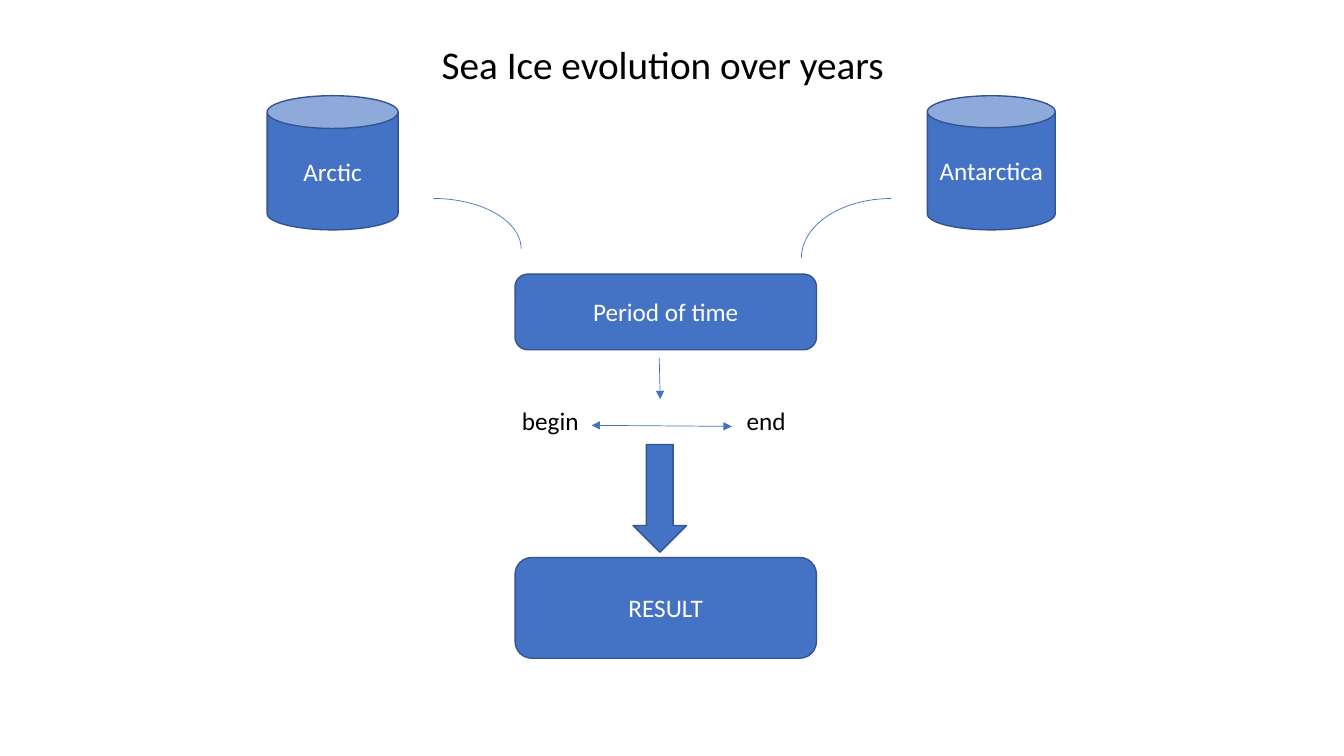
from dataclasses import dataclass

from lxml import etree
from pptx import Presentation
from pptx import util as u
from pptx.dml.color import RGBColor
from pptx.enum import shapes, text
from pptx.oxml import ns
from pptx.shapes.base import BaseShape
from pptx.slide import Slide
from pptx.text.text import TextFrame

BLUE = RGBColor(0x44, 0x72, 0xC4)
EDGE = RGBColor(0x32, 0x54, 0x91)
BLACK = RGBColor(0, 0, 0)
WHITE = RGBColor(0xFF, 0xFF, 0xFF)
FONT = "Calibri"
KIND = shapes.MSO_SHAPE


@dataclass
class Area:
    left: float
    top: float
    width: float
    height: float

    def points(self) -> list[int]:
        return [u.Pt(n) for n in (self.left, self.top, self.width, self.height)]


@dataclass
class Label:
    words: str
    area: Area
    size: int = 18


@dataclass
class Block:
    kind: KIND
    area: Area
    words: str = ""


@dataclass
class Curve:
    area: Area
    start: int
    stop: int


@dataclass
class Arrow:
    start: tuple[float, float]
    stop: tuple[float, float]
    ends: tuple[str, ...]


LABELS = [
    Label("begin", Area(285.1, 285.8, 216, 28.8)),
    Label("end", Area(439.2, 285.8, 216, 28.8)),
    Label("Sea Ice evolution over years", Area(303.8, 25.2, 339.1, 41), 28),
]
BLOCKS = [
    Block(KIND.CAN, Area(190.8, 68.4, 93.6, 95.8), "Arctic"),
    Block(KIND.CAN, Area(662.4, 68.4, 91.4, 95.8), "Antarctica"),
    Block(KIND.ROUNDED_RECTANGLE, Area(367.9, 195.8, 215.3, 54), "Period of time"),
    Block(KIND.DOWN_ARROW, Area(452.2, 317.5, 38.2, 77)),
    Block(KIND.ROUNDED_RECTANGLE, Area(367.9, 398.2, 215.3, 72), "RESULT"),
]
# Angles run clockwise in degrees from three o'clock.
CURVES = [
    Curve(Area(247, 141.8, 125.3, 72), 270, 0),
    Curve(Area(572.4, 141.8, 128.2, 85), 180, 270),
]
ARROWS = [
    Arrow((422.6, 303.8), (522.7, 304.6), ("headEnd", "tailEnd")),
    Arrow((470.9, 255.6), (471.6, 285.1), ("tailEnd",)),
]


def write(frame: TextFrame, words: str, size: int, color: RGBColor) -> None:
    frame.text = words
    line = frame.paragraphs[0]
    line.alignment = text.PP_ALIGN.CENTER
    line.font.name = FONT
    line.font.size = u.Pt(size)
    line.font.color.rgb = color


def stroke(shape: BaseShape, color: RGBColor, width: float) -> None:
    shape.line.color.rgb = color
    shape.line.width = u.Pt(width)


def add_label(slide: Slide, label: Label) -> None:
    frame = slide.shapes.add_textbox(*label.area.points()).text_frame
    frame.word_wrap = True
    frame.auto_size = text.MSO_AUTO_SIZE.SHAPE_TO_FIT_TEXT
    write(frame, label.words, label.size, BLACK)


def add_block(slide: Slide, block: Block) -> None:
    shape = slide.shapes.add_shape(block.kind, *block.area.points())
    shape.shadow.inherit = False
    shape.fill.solid()
    shape.fill.fore_color.rgb = BLUE
    stroke(shape, EDGE, 1)
    if block.words:
        shape.text_frame.vertical_anchor = text.MSO_ANCHOR.MIDDLE
        write(shape.text_frame, block.words, 18, WHITE)


def add_curve(slide: Slide, curve: Curve) -> None:
    shape = slide.shapes.add_shape(KIND.ARC, *curve.area.points())
    shape.shadow.inherit = False
    shape.fill.background()
    stroke(shape, BLUE, 0.5)
    # One degree is 60000 units, and an adjustment of 1 is 100000 units.
    shape.adjustments[0] = curve.start * 0.6
    shape.adjustments[1] = curve.stop * 0.6


def add_arrow(slide: Slide, arrow: Arrow) -> None:
    spots = [u.Pt(n) for n in arrow.start + arrow.stop]
    line = slide.shapes.add_connector(shapes.MSO_CONNECTOR.STRAIGHT, *spots)
    stroke(line, BLUE, 0.5)
    for end in arrow.ends:
        etree.SubElement(line.get_or_add_ln(), ns.qn(f"a:{end}"), type="triangle")
    etree.SubElement(line.element.spPr, ns.qn("a:effectLst"))


def main() -> None:
    deck = Presentation()
    deck.slide_width, deck.slide_height = u.Pt(960), u.Pt(540)
    slide = deck.slides.add_slide(deck.slide_layouts[6])
    for block in BLOCKS:
        add_block(slide, block)
    for curve in CURVES:
        add_curve(slide, curve)
    for arrow in ARROWS:
        add_arrow(slide, arrow)
    for label in LABELS:
        add_label(slide, label)
    deck.save("out.pptx")


if __name__ == "__main__":
    main()
